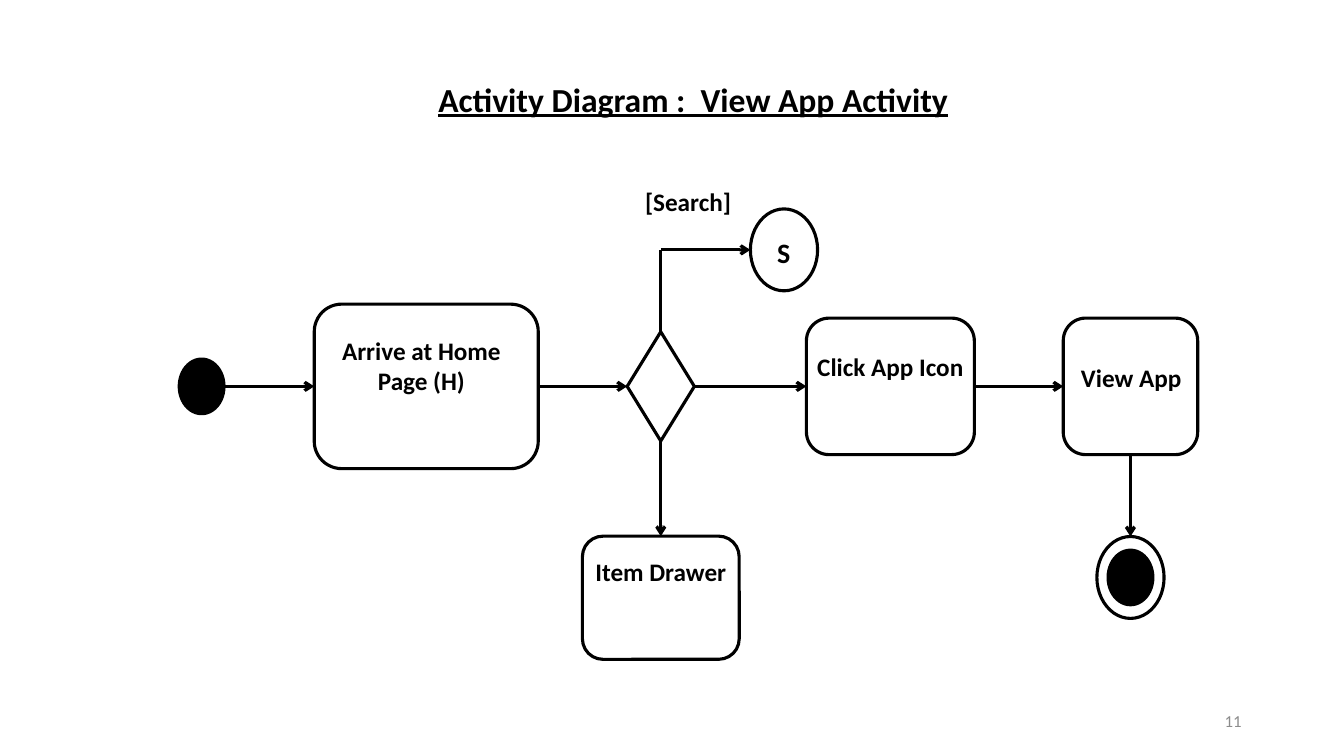
from lxml.etree import SubElement
from pptx import Presentation
from pptx.dml.color import RGBColor
from pptx.enum.shapes import MSO_CONNECTOR, MSO_SHAPE
from pptx.enum.text import MSO_ANCHOR, PP_ALIGN
from pptx.oxml.ns import qn
from pptx.util import Pt

INK = {"black": "000000", "gray": "8C8C8C"}
LINE = 2.25
MID = 276  # height of the main flow

deck = Presentation()
deck.slide_width, deck.slide_height = Pt(960), Pt(540)
slide = deck.slides.add_slide(deck.slide_layouts[6])


def add_text(text, left, top, width, height, align=PP_ALIGN.CENTER,
             wrap=True, anchor=MSO_ANCHOR.TOP, ink="black", **style):
    box = slide.shapes.add_textbox(Pt(left), Pt(top), Pt(width), Pt(height))
    frame = box.text_frame
    frame.word_wrap, frame.vertical_anchor = wrap, anchor
    para = frame.paragraphs[0]
    para.alignment = align
    run = para.add_run()
    run.text = text
    font = run.font
    font.color.rgb = RGBColor.from_string(INK[ink])
    for key, value in {"name": "Calibri", "size": Pt(18), "bold": True, **style}.items():
        setattr(font, key, value)


# Nodes: shape, centre x, centre y, width, height, filled
nodes = {
    "start": (MSO_SHAPE.OVAL, 144, MID, 32, 39, True),
    "home": (MSO_SHAPE.ROUNDED_RECTANGLE, 304.5, MID, 160, 117.5, False),
    "fork": (MSO_SHAPE.DIAMOND, 472, MID, 48, 78, False),
    "search": (MSO_SHAPE.OVAL, 560, 178.5, 48, 58.5, False),
    "drawer": (MSO_SHAPE.ROUNDED_RECTANGLE, 472, 427, 112, 88, False),
    "click": (MSO_SHAPE.ROUNDED_RECTANGLE, 636, MID, 120, 97.5, False),
    "view": (MSO_SHAPE.ROUNDED_RECTANGLE, 807.5, MID, 96, 97.5, False),
    "dot": (MSO_SHAPE.OVAL, 807.5, 412.5, 32, 39, True),
    "ring": (MSO_SHAPE.OVAL, 807.5, 412.5, 48, 58.5, False),
}
black = RGBColor.from_string(INK["black"])
made = {}
for name, (kind, x, y, wide, high, full) in nodes.items():
    node = slide.shapes.add_shape(kind, Pt(x - wide / 2), Pt(y - high / 2), Pt(wide), Pt(high))
    node.shadow.inherit = False
    if full:
        node.fill.solid()
        node.fill.fore_color.rgb = black
    else:
        node.fill.background()
    node.line.color.rgb = black
    node.line.width = Pt(LINE)
    made[name] = node

# Links: from x, y, to x, y, arrowhead, joined (node, side) at each end
links = [
    (160, MID, 224.5, MID, True, None, ("home", 1)),
    (384.5, MID, 448, MID, True, ("home", 3), ("fork", 1)),
    (496, MID, 576, MID, True, ("fork", 3), ("click", 1)),
    (696, MID, 759.5, MID, True, ("click", 3), ("view", 1)),
    (472, 237, 472, 178.5, False, ("fork", 0), None),
    (472, 178.5, 536, 178.5, True, None, None),
    (472, 315, 472, 383, True, ("fork", 2), ("drawer", 0)),
    (807.5, 324.75, 807.5, 383.25, True, ("view", 2), ("ring", 0)),
]
for x1, y1, x2, y2, arrow, tail, head in links:
    link = slide.shapes.add_connector(MSO_CONNECTOR.STRAIGHT, Pt(x1), Pt(y1), Pt(x2), Pt(y2))
    if tail:
        link.begin_connect(made[tail[0]], tail[1])
    if head:
        link.end_connect(made[head[0]], head[1])
    link.line.color.rgb = black
    link.line.width = Pt(LINE)
    if arrow:
        SubElement(link.line._get_or_add_ln(), qn("a:tailEnd"), type="arrow")
    SubElement(link._element.spPr, qn("a:effectLst"))

for text, left, top, width, height in [
    ("Arrive at Home Page (H)", 229, 236, 144, 118),
    ("Item Drawer", 412, 394, 120, 83),
    ("Click App Icon", 572, 247.5, 128, 83),
    ("View App", 752, 255, 112, 83),
]:
    add_text(text, left, top, width, height)
add_text("[Search]", 440.5, 129.5, 102, 47.5, wrap=False)
add_text("S", 548, 165, 25, 32, align=PP_ALIGN.LEFT, wrap=False, size=Pt(20))
add_text("Activity Diagram :  View App Activity", 306, 52.5, 491, 36,
         align=PP_ALIGN.LEFT, size=Pt(24), underline=True)
add_text("11", 678, 500.5, 216, 29, align=PP_ALIGN.RIGHT, anchor=MSO_ANCHOR.MIDDLE,
         ink="gray", size=Pt(12), bold=False)

deck.save("out.pptx")
